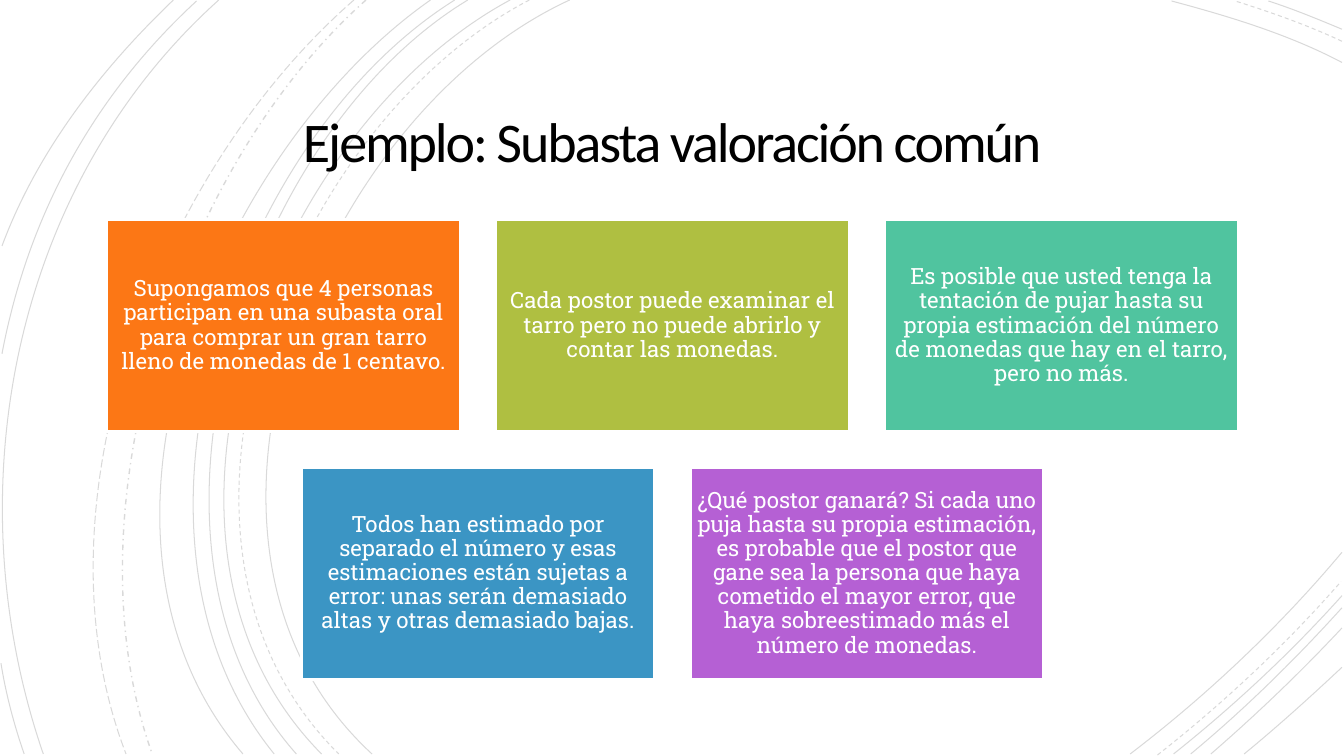
from lxml import etree
from pptx import Presentation
from pptx.dml.color import RGBColor
from pptx.enum.dml import MSO_LINE
from pptx.enum.shapes import MSO_SHAPE
from pptx.enum.text import MSO_ANCHOR, MSO_AUTO_SIZE, PP_ALIGN
from pptx.oxml.ns import qn
from pptx.util import Inches, Pt

RECTANGLE = MSO_SHAPE.RECTANGLE
MIDDLE = MSO_ANCHOR.MIDDLE
CENTER = PP_ALIGN.CENTER
NO_AUTOFIT = MSO_AUTO_SIZE.NONE
SOLID, DASH = MSO_LINE.SOLID, MSO_LINE.DASH
LONG_DASH, DASH_DOT = MSO_LINE.LONG_DASH, MSO_LINE.DASH_DOT

BLACK = RGBColor(0x00, 0x00, 0x00)
WHITE = RGBColor(0xFF, 0xFF, 0xFF)
ORANGE = RGBColor(0xFC, 0x77, 0x15)
OLIVE = RGBColor(0xAF, 0xBF, 0x41)
GREEN = RGBColor(0x50, 0xC4, 0x9F)
BLUE = RGBColor(0x3B, 0x95, 0xC4)
PURPLE = RGBColor(0xB5, 0x60, 0xD4)

SLIDE_WIDTH, SLIDE_HEIGHT = 13.33, 7.5
TITLE_BOX = (1.92, 0.87, 9.49, 1.15)
CARDS_BOX = (1.06, 2.18, 11.22, 4.56)
CARD_COLUMNS = 3
GAP_SHARE = 0.1
CURVE_OPACITY = 15

TITLE = "Ejemplo: Subasta valoración común"
CARD_ROWS = [
    [
        (ORANGE, "Supongamos que 4 personas participan en una subasta oral para "
                 "comprar un gran tarro lleno de monedas de 1 centavo."),
        (OLIVE, "Cada postor puede examinar el tarro pero no puede abrirlo y "
                "contar las monedas."),
        (GREEN, "Es posible que usted tenga la tentación de pujar hasta su propia "
                "estimación del número de monedas que hay en el tarro, pero no más."),
    ],
    [
        (BLUE, "Todos han estimado por separado el número y esas estimaciones "
               "están sujetas a error: unas serán demasiado altas y otras "
               "demasiado bajas."),
        (PURPLE, "¿Qué postor ganará? Si cada uno puja hasta su propia estimación, "
                 "es probable que el postor que gane sea la persona que haya "
                 "cometido el mayor error, que haya sobreestimado más el número "
                 "de monedas."),
    ],
]

CURVES = [
    (SOLID, 0.75, [(5.65, 0), (3.15, 1.15), (1.43, 5.4), (3.69, 7.48)]),
    (DASH, 0.75, [(5.25, 0), (2.85, 1.25), (1.23, 5.37), (3.36, 7.48)]),
    (SOLID, 0.75, [(5.06, 0), (2.7, 1.27), (1.1, 5.37), (3.19, 7.48)]),
    (SOLID, 0.75, [(4.64, 0), (2.44, 1.33), (1.1, 5.41), (2.94, 7.48)]),
    (SOLID, 0.75, [(4.51, 0), (2.31, 1.38), (0.97, 5.33), (2.72, 7.48)]),
    (SOLID, 0.75, [(4.27, 0), (2.17, 1.47), (0.53, 5.29), (2.41, 7.48)]),
    (DASH_DOT, 1, [(3.63, 0), (1.76, 1.66), (0.65, 5.09), (1.51, 7.48)]),
    (LONG_DASH, 0.75, [(3.51, 0), (1.57, 1.69), (0.29, 4.99), (1.25, 7.48)]),
    (SOLID, 0.75, [(2.17, 0), (0.11, 1.85), (-0.46, 4.9), (0.43, 7.48)]),
    (SOLID, 0.75, [(1.95, 0.01), (0.92, 0.96), (0.28, 2.14), (0.02, 3.51)]),
    (SOLID, 0.75, [(0.01, 6.58), (0.06, 6.89), (0.14, 7.19), (0.24, 7.48)]),
    (SOLID, 0.75, [(1.72, 0), (1, 0.69), (0.37, 1.5), (0.02, 2.44)]),
    (SOLID, 0.75, [(13.31, 0.62), (12.78, 0.34), (12.18, 0.16), (11.62, 0.01)]),
    (DASH, 0.75, [(13.31, 0.41), (12.97, 0.25), (12.6, 0.12), (12.25, 0.01)]),
    (SOLID, 0.75, [(13.31, 0.29), (13.07, 0.19), (12.83, 0.09), (12.58, 0.01)]),
    (SOLID, 0.75, [(11.21, 7.48), (11.97, 6.9), (12.69, 6.22), (13.31, 5.48)]),
    (DASH, 0.75, [(11.48, 7.49), (12.13, 6.98), (12.75, 6.4), (13.3, 5.77)]),
    (SOLID, 0.75, [(11.64, 7.48), (12.23, 7.01), (12.8, 6.48), (13.31, 5.91)]),
    (SOLID, 0.75, [(11.81, 7.48), (12.34, 7.04), (12.84, 6.55), (13.31, 6.03)]),
    (SOLID, 0.75, [(12.01, 7.48), (12.46, 7.09), (12.9, 6.67), (13.31, 6.23)]),
    (SOLID, 0.75, [(12.34, 7.48), (12.67, 7.21), (12.99, 6.92), (13.31, 6.62)]),
]


def write_text(shape, text, font_name, size, color, inset, line_spacing):
    """Write one centred run into the shape and return it."""
    frame = shape.text_frame
    frame.word_wrap = True
    frame.auto_size = NO_AUTOFIT
    frame.vertical_anchor = MIDDLE
    frame.margin_left = frame.margin_right = Inches(inset)
    frame.margin_top = frame.margin_bottom = Inches(inset)
    paragraph = frame.paragraphs[0]
    paragraph.alignment = CENTER
    paragraph.line_spacing = line_spacing
    run = paragraph.add_run()
    run.text = text
    run.font.name = font_name
    run.font.size = Pt(size)
    run.font.color.rgb = color
    return run


def add_curve(slide, dash, width, points):
    """Draw one faint Bézier curve from its four control points."""
    start, *others = [(Inches(x), Inches(y)) for x, y in points]
    builder = slide.shapes.build_freeform(*start, scale=1.0)
    builder.add_line_segments(others, close=False)
    curve = builder.convert_to_shape()
    curve.shadow.inherit = False
    curve.fill.background()
    curve.line.width = Pt(width)
    curve.line.color.rgb = BLACK
    curve.line.dash_style = dash
    color = curve.element.find(f".//{qn('a:ln')}//{qn('a:srgbClr')}")
    etree.SubElement(color, qn("a:alpha")).set("val", str(CURVE_OPACITY * 1000))
    outline = curve.element.find(f".//{qn('a:pathLst')}/{qn('a:path')}")
    bezier = etree.SubElement(outline, qn("a:cubicBezTo"))
    for segment in outline.findall(qn("a:lnTo")):
        bezier.append(segment[0])
        outline.remove(segment)


def add_title(slide, box):
    """Place the title placeholder in the box, in front of the curves."""
    title = slide.shapes.title
    title.left, title.top, title.width, title.height = map(Inches, box)
    run = write_text(title, TITLE, "Calibri", 40, BLACK, 0.25, 0.85)
    run.font._element.set("spc", "-150")
    slide.shapes.element.append(title.element)


def add_cards(slide, box):
    """Fill the box with rows of cards, each row centred."""
    left, top, width, height = box
    card_width = width / (CARD_COLUMNS + (CARD_COLUMNS - 1) * GAP_SHARE)
    gap = card_width * GAP_SHARE
    card_height = (height - gap * (len(CARD_ROWS) - 1)) / len(CARD_ROWS)
    for row, cards in enumerate(CARD_ROWS):
        row_left = left + (CARD_COLUMNS - len(cards)) * (card_width + gap) / 2
        for column, (color, text) in enumerate(cards):
            card = slide.shapes.add_shape(
                RECTANGLE,
                Inches(row_left + column * (card_width + gap)),
                Inches(top + row * (card_height + gap)),
                Inches(card_width),
                Inches(card_height),
            )
            card.shadow.inherit = False
            card.fill.solid()
            card.fill.fore_color.rgb = color
            card.line.color.rgb = WHITE
            card.line.width = Pt(2)
            write_text(card, text, "Roboto Slab", 16, WHITE, 0.07, 0.9)


def main():
    """Build the slide and save it."""
    presentation = Presentation()
    presentation.slide_width = Inches(SLIDE_WIDTH)
    presentation.slide_height = Inches(SLIDE_HEIGHT)
    slide = presentation.slides.add_slide(presentation.slide_layouts[5])
    for dash, width, points in CURVES:
        add_curve(slide, dash, width, points)
    add_title(slide, TITLE_BOX)
    add_cards(slide, CARDS_BOX)
    presentation.save("out.pptx")


if __name__ == "__main__":
    main()
